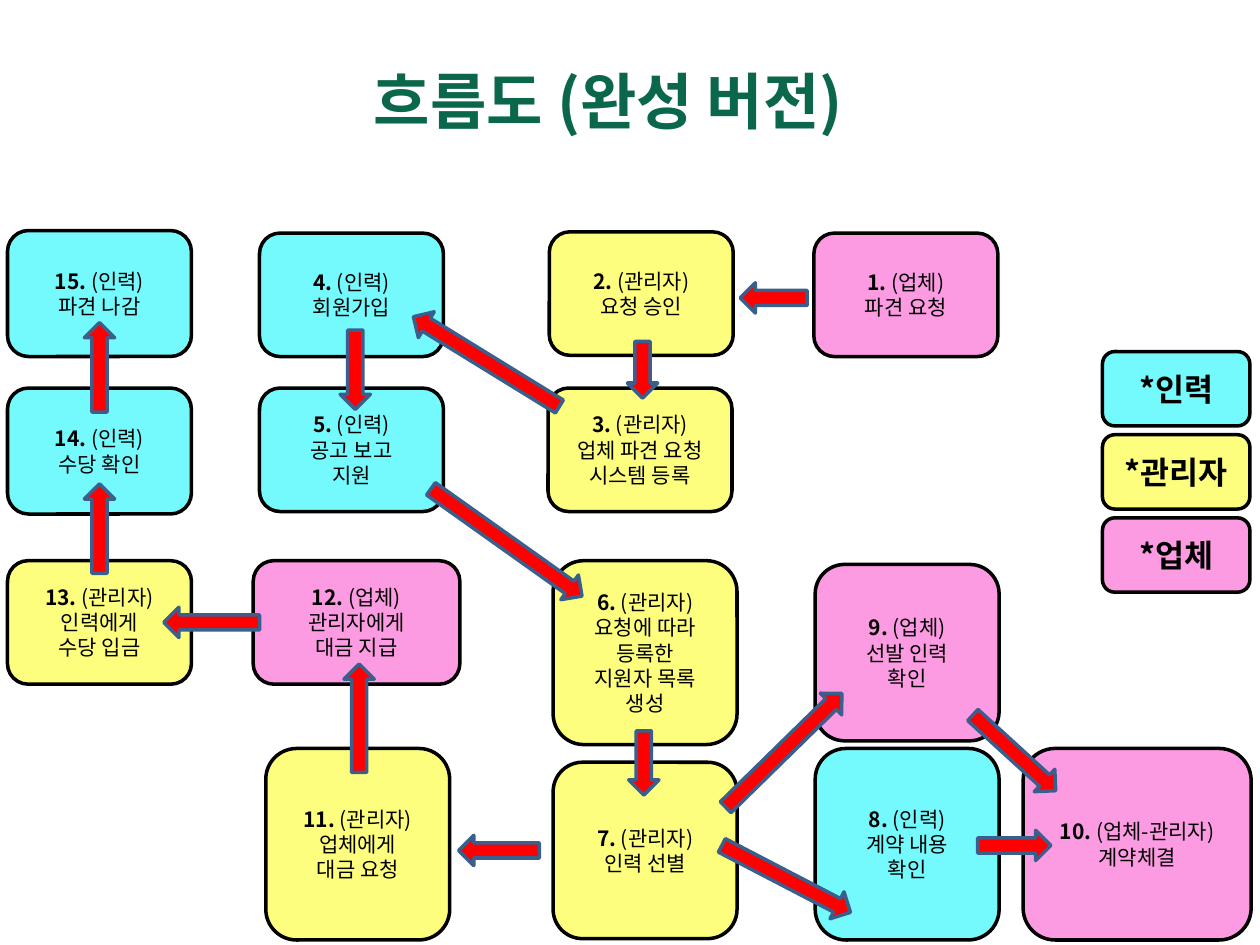
from lxml.etree import SubElement
from pptx import Presentation
from pptx.dml.color import RGBColor
from pptx.enum.shapes import MSO_SHAPE
from pptx.enum.text import MSO_ANCHOR, PP_ALIGN
from pptx.oxml.ns import qn
from pptx.util import Inches, Pt

FONT = "Noto Sans CJK KR"
ROLE_COLORS = {"인력": "74F9FC", "관리자": "FEFE7E", "업체": "FC9AE2"}
BOX_WIDTH = 1.46
ARROW_WIDTH = 0.24

# number, role, lines, left, top, width, height
STEPS = [
    (1, "업체", ["파견 요청"], 6.46, 1.85, BOX_WIDTH, 0.98),
    (2, "관리자", ["요청 승인"], 4.36, 1.84, BOX_WIDTH, 0.98),
    (3, "관리자", ["업체 파견 요청 시스템 등록"], 4.35, 3.08, BOX_WIDTH, 0.98),
    (4, "인력", ["회원가입"], 2.06, 1.85, BOX_WIDTH, 0.98),
    (5, "인력", ["공고 보고", "지원"], 2.06, 3.08, BOX_WIDTH, 0.98),
    (6, "관리자", ["요청에 따라", "등록한", "지원자 목록", "생성"],
     4.39, 4.45, BOX_WIDTH, 1.46),
    (7, "관리자", ["인력 선별"], 4.39, 6.05, BOX_WIDTH, 1.4),
    (8, "인력", ["계약 내용", "확인"], 6.47, 5.94, BOX_WIDTH, 1.52),
    (9, "업체", ["선발 인력", "확인"], 6.47, 4.48, BOX_WIDTH, 1.4),
    (10, "업체-관리자", ["계약체결"], 8.12, 5.94, 1.81, 1.52),
    (11, "관리자", ["업체에게", "대금 요청"], 2.11, 5.94, BOX_WIDTH, 1.52),
    (12, "업체", ["관리자에게", "대금 지급"], 2.01, 4.45, 1.64, 0.98),
    (13, "관리자", ["인력에게", "수당 입금"], 0.06, 4.45, BOX_WIDTH, 0.98),
    (14, "인력", ["수당 확인"], 0.06, 3.08, BOX_WIDTH, 1),
    (15, "인력", ["파견 나감"], 0.06, 1.83, BOX_WIDTH, 1),
]

# left, top, length, rotation of a downward arrow, in the order of the flow
ARROWS = [
    (6.02, 2.1, 0.53, 90),
    (4.98, 2.71, 0.45, 0),
    (3.74, 2.19, 1.36, 121.6),
    (2.7, 2.62, 0.63, 0),
    (3.9, 3.57, 1.47, 305.4),
    (4.99, 5.8, 0.51, 0),
    (6.12, 6.4, 1.15, 297.5),
    (6.1, 5.31, 1.29, 225.6),
    (7.93, 6.42, 0.58, 270),
    (7.93, 5.53, 0.89, 312.4),
    (3.84, 6.43, 0.64, 90),
    (2.73, 5.27, 0.86, 180),
    (1.56, 4.56, 0.76, 90),
    (0.67, 3.84, 0.71, 180),
    (0.67, 2.56, 0.71, 180),
]


def color(hex_string):
    return RGBColor.from_string(hex_string)


def style_paragraph(paragraph, size, hex_color, bold=None):
    font = paragraph.font
    font.size = Pt(size)
    font.bold = bold
    font.color.rgb = color(hex_color)
    font.name = FONT
    properties = paragraph._p.pPr.find(qn("a:defRPr"))
    SubElement(properties, qn("a:ea")).set("typeface", FONT)


def add_title(slide, text):
    box = slide.shapes.add_textbox(Inches(2.87), Inches(0.36), Inches(6.93), Inches(0.87))
    frame = box.text_frame
    frame.word_wrap = True
    frame.vertical_anchor = MSO_ANCHOR.MIDDLE
    paragraph = frame.paragraphs[0]
    paragraph.add_run().text = text
    style_paragraph(paragraph, 35, "0A674B", bold=True)


def add_outlined_shape(slide, kind, bounds, fill, line):
    shape = slide.shapes.add_shape(kind, *(Inches(value) for value in bounds))
    shape.shadow.inherit = False
    shape.fill.solid()
    shape.fill.fore_color.rgb = color(fill)
    shape.line.color.rgb = color(line)
    shape.line.width = Pt(2)
    return shape


def add_box(slide, bounds, fill, lines, size):
    """Add a rounded box; each line is a list of (text, bold) runs."""
    shape = add_outlined_shape(slide, MSO_SHAPE.ROUNDED_RECTANGLE, bounds, fill, "000000")
    frame = shape.text_frame
    frame.word_wrap = True
    frame.vertical_anchor = MSO_ANCHOR.MIDDLE
    for index, runs in enumerate(lines):
        paragraph = frame.add_paragraph() if index else frame.paragraphs[0]
        paragraph.alignment = PP_ALIGN.CENTER
        style_paragraph(paragraph, size, "000000")
        for text, bold in runs:
            run = paragraph.add_run()
            run.text = text
            run.font.bold = bold


def add_step(slide, number, role, lines, *bounds):
    heading = [(f"{number}.", True), (f" ({role})", False)]
    body = [[(line, False)] for line in lines]
    fill = ROLE_COLORS[role.split("-")[0]]
    add_box(slide, bounds, fill, [heading, *body], 12)


def add_legend(slide):
    for index, (role, fill) in enumerate(ROLE_COLORS.items()):
        bounds = (8.75, 2.79 + 0.66 * index, 1.17, 0.59)
        add_box(slide, bounds, fill, [[(f"*{role}", True)]], 18)


def add_arrow(slide, left, top, length, rotation):
    bounds = (left, top, ARROW_WIDTH, length)
    arrow = add_outlined_shape(slide, MSO_SHAPE.DOWN_ARROW, bounds, "FF0000", "3A5F8C")
    arrow.rotation = rotation


def main():
    presentation = Presentation()
    presentation.slide_width = Inches(10)
    presentation.slide_height = Inches(7.5)
    slide = presentation.slides.add_slide(presentation.slide_layouts[6])
    add_title(slide, "흐름도 (완성 버전)")
    for step in STEPS:
        add_step(slide, *step)
    add_legend(slide)
    for arrow in ARROWS:
        add_arrow(slide, *arrow)
    presentation.save("out.pptx")


if __name__ == "__main__":
    main()
